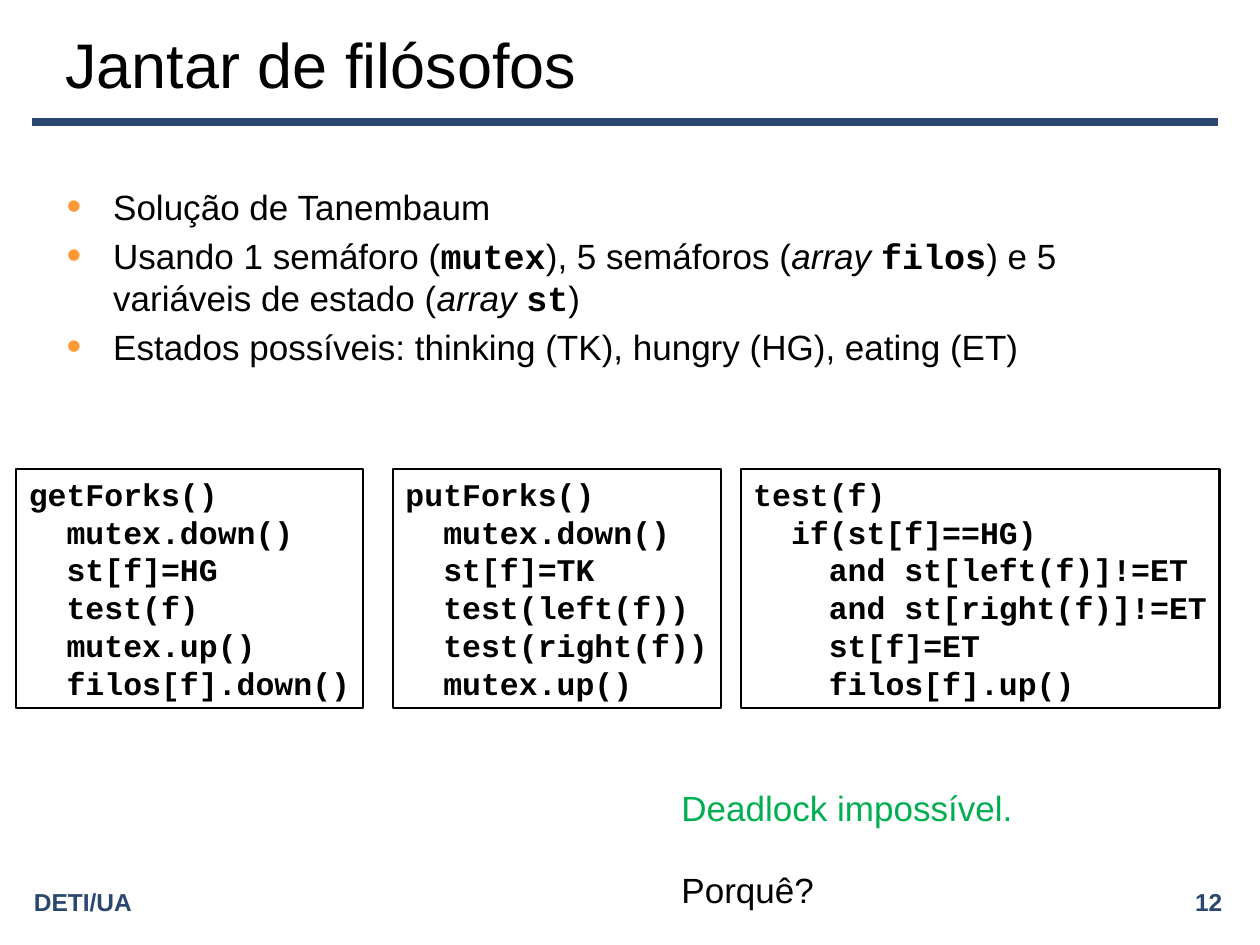
from typing import NamedTuple

from lxml import etree
from pptx import Presentation
from pptx.dml.color import RGBColor
from pptx.enum.shapes import MSO_CONNECTOR, MSO_SHAPE
from pptx.enum.text import MSO_ANCHOR, MSO_AUTO_SIZE, PP_ALIGN
from pptx.oxml.ns import qn
from pptx.util import Inches, Pt

LEFT, RIGHT = PP_ALIGN.LEFT, PP_ALIGN.RIGHT
TOP, MIDDLE = MSO_ANCHOR.TOP, MSO_ANCHOR.MIDDLE
GROW = MSO_AUTO_SIZE.SHAPE_TO_FIT_TEXT
RECT, STRAIGHT = MSO_SHAPE.RECTANGLE, MSO_CONNECTOR.STRAIGHT

SANS, MONO = "Arial", "Courier New"
BLACK, NAVY, ORANGE, GREEN = "000000", "2A476F", "FF9933", "00B050"
STEP = 0.3  # two Courier New characters at 18 pt


class Style(NamedTuple):
    size: float
    color: str = BLACK
    bold: bool = False
    font: str = SANS
    italic: bool = False


class Code(NamedTuple):
    left: float
    width: float
    lines: list[tuple[int, str]]  # indent level, statement


BODY = Style(20)
ARRAY = BODY._replace(italic=True)
NAME = BODY._replace(font=MONO, bold=True)
CODE = Style(18, bold=True, font=MONO)
FOOTER = Style(14, NAVY, bold=True)

BULLETS = [
    [("Solução de Tanembaum", BODY)],
    [("Usando 1 semáforo (", BODY), ("mutex", NAME),
     ("), 5 semáforos (", BODY), ("array ", ARRAY), ("filos", NAME),
     (") e 5 variáveis de estado (", BODY), ("array ", ARRAY),
     ("st", NAME), (")", BODY)],
    [("Estados possíveis: thinking (TK), hungry (HG), eating (ET)", BODY)],
]

CODES = [
    Code(0.13, 2.75, [
        (0, "getForks()"), (1, "mutex.down()"), (1, "st[f]=HG"),
        (1, "test(f)"), (1, "mutex.up()"), (1, "filos[f].down()")]),
    Code(3.12, 2.6, [
        (0, "putForks()"), (1, "mutex.down()"), (1, "st[f]=TK"),
        (1, "test(left(f))"), (1, "test(right(f))"), (1, "mutex.up()")]),
    Code(5.88, 3.8, [
        (0, "test(f)"), (1, "if(st[f]==HG)"), (2, "and st[left(f)]!=ET"),
        (2, "and st[right(f)]!=ET"), (2, "st[f]=ET"),
        (2, "filos[f].up()")]),
]


def rgb(color: str) -> RGBColor:
    return RGBColor.from_string(color)


def paint(run, style: Style) -> None:
    font = run.font
    font.name, font.size = style.font, Pt(style.size)
    font.bold, font.italic = style.bold, style.italic
    font.color.rgb = rgb(style.color)


def write(para, text: str, style: Style, align=LEFT) -> None:
    para.text = text
    para.alignment = align
    for run in para.runs:
        paint(run, style)


def add_para(frame, index: int):
    return frame.paragraphs[0] if index == 0 else frame.add_paragraph()


def indent(para, left: float, first: float = 0):
    props = para._p.get_or_add_pPr()
    props.set("marL", str(Inches(left)))
    props.set("indent", str(Inches(first)))
    return props


def add_bullet(para) -> None:
    props = indent(para, 0.38, -0.37)
    color = etree.SubElement(props, qn("a:buClr"))
    etree.SubElement(color, qn("a:srgbClr"), val=ORANGE)
    etree.SubElement(props, qn("a:buSzPct"), val="120000")
    etree.SubElement(props, qn("a:buFont"), typeface=SANS)
    etree.SubElement(props, qn("a:buChar"), char="•")


def add_box(slide, left: float, top: float, width: float, height: float,
            anchor=TOP):
    box = slide.shapes.add_textbox(
        Inches(left), Inches(top), Inches(width), Inches(height))
    frame = box.text_frame
    frame.word_wrap = True
    frame.vertical_anchor = anchor
    return frame


def add_rule(slide) -> None:
    rule = slide.shapes.add_connector(
        STRAIGHT, Inches(0.25), Inches(0.97), Inches(9.67), Inches(0.97))
    rule.line.color.rgb = rgb(NAVY)
    rule.line.width = Pt(4.5)
    etree.SubElement(rule._element.spPr, qn("a:effectLst"))


def add_code(slide, code: Code) -> None:
    box = slide.shapes.add_shape(
        RECT, Inches(code.left), Inches(3.72), Inches(code.width), Inches(1.9))
    box.shadow.inherit = False
    box.fill.background()
    box.line.color.rgb = rgb(BLACK)
    box.line.width = Pt(1.25)
    frame = box.text_frame
    frame.word_wrap = False
    frame.auto_size = GROW
    frame.vertical_anchor = TOP
    for index, (level, text) in enumerate(code.lines):
        para = add_para(frame, index)
        write(para, text, CODE)
        indent(para, level * STEP)


def main() -> None:
    deck = Presentation()
    deck.slide_width, deck.slide_height = Inches(10), Inches(7.5)
    slide = deck.slides.add_slide(deck.slide_layouts[6])

    add_rule(slide)
    for left, text, align in [(5.92, "12", RIGHT), (0.17, "DETI/UA", LEFT)]:
        frame = add_box(slide, left, 7, 3.88, 0.31, MIDDLE)
        write(frame.paragraphs[0], text, FOOTER, align)

    title = add_box(slide, 0.42, 0.17, 8.75, 0.67, MIDDLE)
    write(title.paragraphs[0], "Jantar de filósofos", Style(36))

    body = add_box(slide, 0.42, 1.42, 9, 4.95)
    for index, parts in enumerate(BULLETS):
        para = add_para(body, index)
        para.space_before = Pt(4)
        add_bullet(para)
        for text, style in parts:
            run = para.add_run()
            run.text = text
            paint(run, style)

    note = add_box(slide, 5.31, 6.19, 3.62, 1.1)
    note.auto_size = GROW
    write(note.paragraphs[0], "Deadlock impossível.", Style(20, GREEN))
    query = note.add_paragraph()
    write(query, "Porquê?", BODY)
    query.space_before = Pt(23)

    for code in CODES:
        add_code(slide, code)
    deck.save("out.pptx")


if __name__ == "__main__":
    main()
